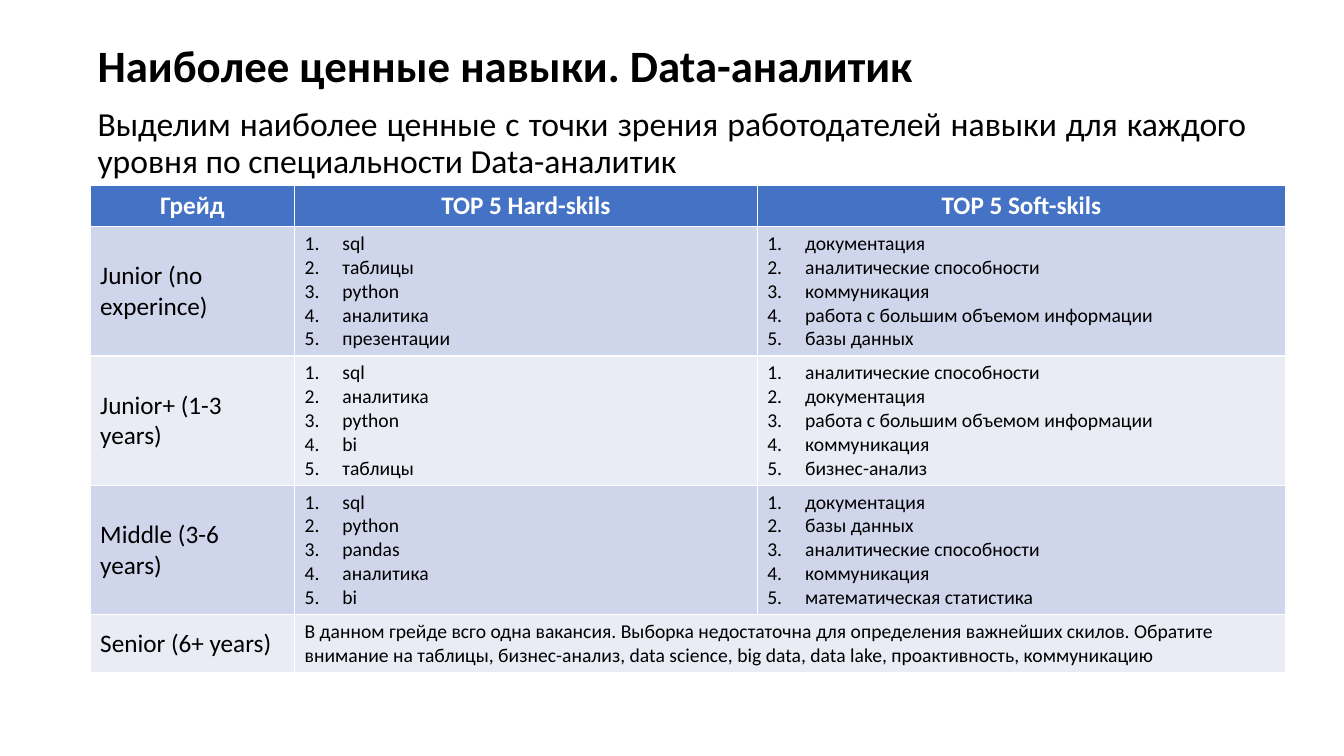
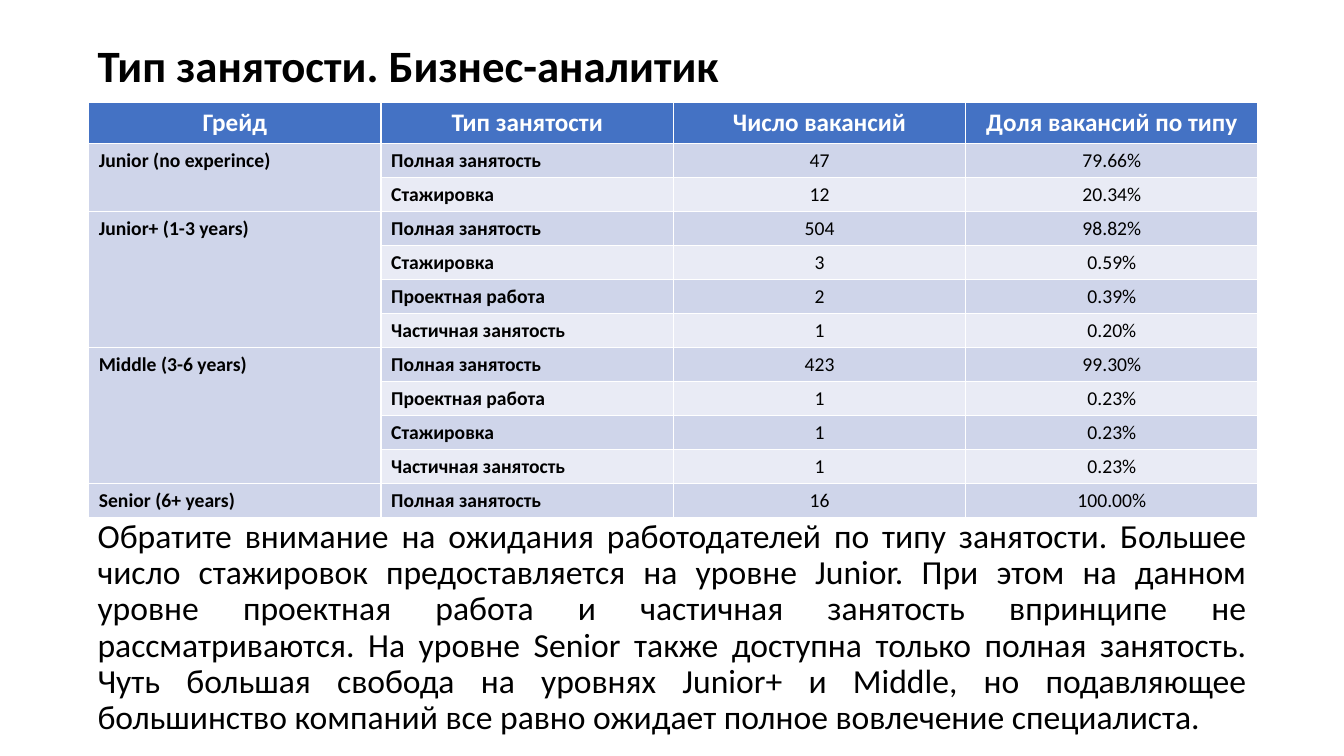
from dataclasses import dataclass
from typing import Optional

from lxml import etree
from pptx import Presentation
from pptx.dml.color import RGBColor
from pptx.enum import text
from pptx.oxml import ns
from pptx import util as u

# Shared style
FONT = "Calibri"
BLACK = RGBColor(0x00, 0x00, 0x00)
WHITE = RGBColor(0xFF, 0xFF, 0xFF)
HEADER_BLUE = RGBColor(0x44, 0x72, 0xC4)
BANDS = (RGBColor(0xCF, 0xD5, 0xEA), RGBColor(0xE9, 0xEB, 0xF5))
LEFT = u.Pt(62.6)
NUMBER_INDENT = u.Pt(27)
CENTER, JUSTIFY = text.PP_ALIGN.CENTER, text.PP_ALIGN.JUSTIFY
TOP, MIDDLE, BOTTOM = (text.MSO_ANCHOR.TOP, text.MSO_ANCHOR.MIDDLE,
                       text.MSO_ANCHOR.BOTTOM)


@dataclass(frozen=True)
class Style:
    size: float
    bold: bool = False
    color: RGBColor = BLACK
    align: Optional[text.PP_ALIGN] = None
    anchor: text.MSO_ANCHOR = TOP
    numbered: bool = False
    spacing: Optional[float] = None


TITLE = Style(32, bold=True, spacing=0.9)
BODY = Style(24, align=JUSTIFY, anchor=BOTTOM, spacing=0.9)
HEADER = Style(18, bold=True, color=WHITE, align=CENTER)
GRADE = Style(18, anchor=MIDDLE)
NOTE = Style(14)
SKILLS = Style(14, numbered=True)
LABEL = Style(14, bold=True)
VALUE = Style(14, align=CENTER, anchor=MIDDLE)


@dataclass(frozen=True)
class SkillRow:
    grade: str
    hard: list[str]
    soft: list[str]


@dataclass(frozen=True)
class GradeJobs:
    grade: str
    jobs: list[tuple[str, int, str]]


# Content
SKILL_HEADS = ["Грейд", "TOP 5 Hard-skils", "TOP 5 Soft-skils"]
SKILL_ROWS = [
    SkillRow("Junior (no experince)",
             ["sql", "таблицы", "python", "аналитика", "презентации"],
             ["документация", "аналитические способности", "коммуникация",
              "работа с большим объемом информации", "базы данных"]),
    SkillRow("Junior+ (1-3 years)",
             ["sql", "аналитика", "python", "bi", "таблицы"],
             ["аналитические способности", "документация",
              "работа с большим объемом информации", "коммуникация",
              "бизнес-анализ"]),
    SkillRow("Middle (3-6 years)",
             ["sql", "python", "pandas", "аналитика", "bi"],
             ["документация", "базы данных", "аналитические способности",
              "коммуникация", "математическая статистика"]),
]
SENIOR_NOTE = (
    "В данном грейде всго одна вакансия. Выборка недостаточна для определения "
    "важнейших скилов. Обратите внимание на таблицы, бизнес-анализ, data "
    "science, big data, data lake, проактивность, коммуникацию")

FULL, INTERN, PROJECT, PART = ("Полная занятость", "Стажировка",
                               "Проектная работа", "Частичная занятость")
JOB_HEADS = ["Грейд", "Тип занятости", "Число вакансий",
             "Доля вакансий по типу"]
JOB_GROUPS = [
    GradeJobs("Junior (no experince)",
              [(FULL, 47, "79.66%"), (INTERN, 12, "20.34%")]),
    GradeJobs("Junior+ (1-3 years)",
              [(FULL, 504, "98.82%"), (INTERN, 3, "0.59%"),
               (PROJECT, 2, "0.39%"), (PART, 1, "0.20%")]),
    GradeJobs("Middle (3-6 years)",
              [(FULL, 423, "99.30%"), (PROJECT, 1, "0.23%"),
               (INTERN, 1, "0.23%"), (PART, 1, "0.23%")]),
    GradeJobs("Senior (6+ years)", [(FULL, 16, "100.00%")]),
]
JOB_COMMENT = (
    "Обратите внимание на ожидания работодателей по типу занятости. Большее "
    "число стажировок предоставляется на уровне Junior. При этом на данном "
    "уровне проектная работа и частичная занятость впринципе не "
    "рассматриваются. На уровне Senior также доступна только полная "
    "занятость. Чуть большая свобода на уровнях Junior+ и Middle, но "
    "подавляющее большинство компаний все равно ожидает полное вовлечение "
    "специалиста.")


# Helpers
def write(tf, lines: list[str], style: Style) -> None:
    tf.text = "\n".join(lines)
    for p in tf.paragraphs:
        if style.numbered:
            pPr = p._p.get_or_add_pPr()
            pPr.set("marL", str(NUMBER_INDENT))
            pPr.set("indent", str(-NUMBER_INDENT))
            etree.SubElement(pPr, ns.qn("a:buAutoNum"), type="arabicPeriod")
        if style.align is not None:
            p.alignment = style.align
        if style.spacing:
            p.line_spacing = style.spacing
        for r in p.runs:
            r.font.name = FONT
            r.font.size = u.Pt(style.size)
            r.font.bold = style.bold
            r.font.color.rgb = style.color


def add_text(s, content: str, top: float, width: float, height: float,
             style: Style) -> None:
    sp = s.shapes.add_textbox(LEFT, u.Pt(top), u.Pt(width), u.Pt(height))
    tf = sp.text_frame
    tf.word_wrap = True
    tf.vertical_anchor = style.anchor
    write(tf, [content], style)


def add_slide(prs, title: str):
    s = prs.slides.add_slide(prs.slide_layouts[6])
    add_text(s, title, 28, 854, 60, TITLE)
    return s


def write_cell(cell, lines: list[str], style: Style) -> None:
    write(cell.text_frame, lines, style)
    cell.vertical_anchor = style.anchor


def add_banded_table(s, left: float, top: float, widths: list[float],
                     heights: list[float], heads: list[str]):
    table = s.shapes.add_table(
        len(heights), len(widths), u.Pt(left), u.Pt(top),
        u.Pt(sum(widths)), u.Pt(sum(heights))).table
    for column, width in zip(table.columns, widths):
        column.width = u.Pt(width)
    for i, (row, height) in enumerate(zip(table.rows, heights)):
        row.height = u.Pt(height)
        for cell in row.cells:
            cell.fill.solid()
            cell.fill.fore_color.rgb = BANDS[(i - 1) % 2] if i else HEADER_BLUE
    for cell, head in zip(table.rows[0].cells, heads):
        write_cell(cell, [head], HEADER)
    return table


# Slides
def skills_slide(prs) -> None:
    s = add_slide(prs, "Наиболее ценные навыки. Data-аналитик")
    add_text(s, "Выделим наиболее ценные с точки зрения работодателей навыки "
                "для каждого уровня по специальности Data-аналитик",
             96.5, 835, 36, BODY)
    table = add_banded_table(s, 64.4, 132.5, [146, 330.5, 377.5],
                             [29.5, 92.4, 92.4, 92.4, 41], SKILL_HEADS)
    for i, row in enumerate(SKILL_ROWS, 1):
        write_cell(table.cell(i, 0), [row.grade], GRADE)
        write_cell(table.cell(i, 1), row.hard, SKILLS)
        write_cell(table.cell(i, 2), row.soft, SKILLS)
    last = len(SKILL_ROWS) + 1
    write_cell(table.cell(last, 0), ["Senior (6+ years)"], GRADE)
    table.cell(last, 1).merge(table.cell(last, 2))
    write_cell(table.cell(last, 1), [SENIOR_NOTE], NOTE)


def employment_slide(prs) -> None:
    s = add_slide(prs, "Тип занятости. Бизнес-аналитик")
    job_count = sum(len(group.jobs) for group in JOB_GROUPS)
    table = add_banded_table(s, 63.4, 73.4, [208.8] * len(JOB_HEADS),
                             [29.2] + [24.3] * job_count, JOB_HEADS)
    first = 1
    for group in JOB_GROUPS:
        last = first + len(group.jobs) - 1
        if last > first:
            table.cell(first, 0).merge(table.cell(last, 0))
        write_cell(table.cell(first, 0), [group.grade], LABEL)
        for i, (kind, count, share) in enumerate(group.jobs, first):
            write_cell(table.cell(i, 1), [kind], LABEL)
            write_cell(table.cell(i, 2), [str(count)], VALUE)
            write_cell(table.cell(i, 3), [share], VALUE)
        first = last + 1
    add_text(s, JOB_COMMENT, 494, 835, 36, BODY)


def main() -> None:
    prs = Presentation()
    prs.slide_width, prs.slide_height = u.Pt(960), u.Pt(540)
    skills_slide(prs)
    employment_slide(prs)
    prs.save("out.pptx")


if __name__ == "__main__":
    main()
